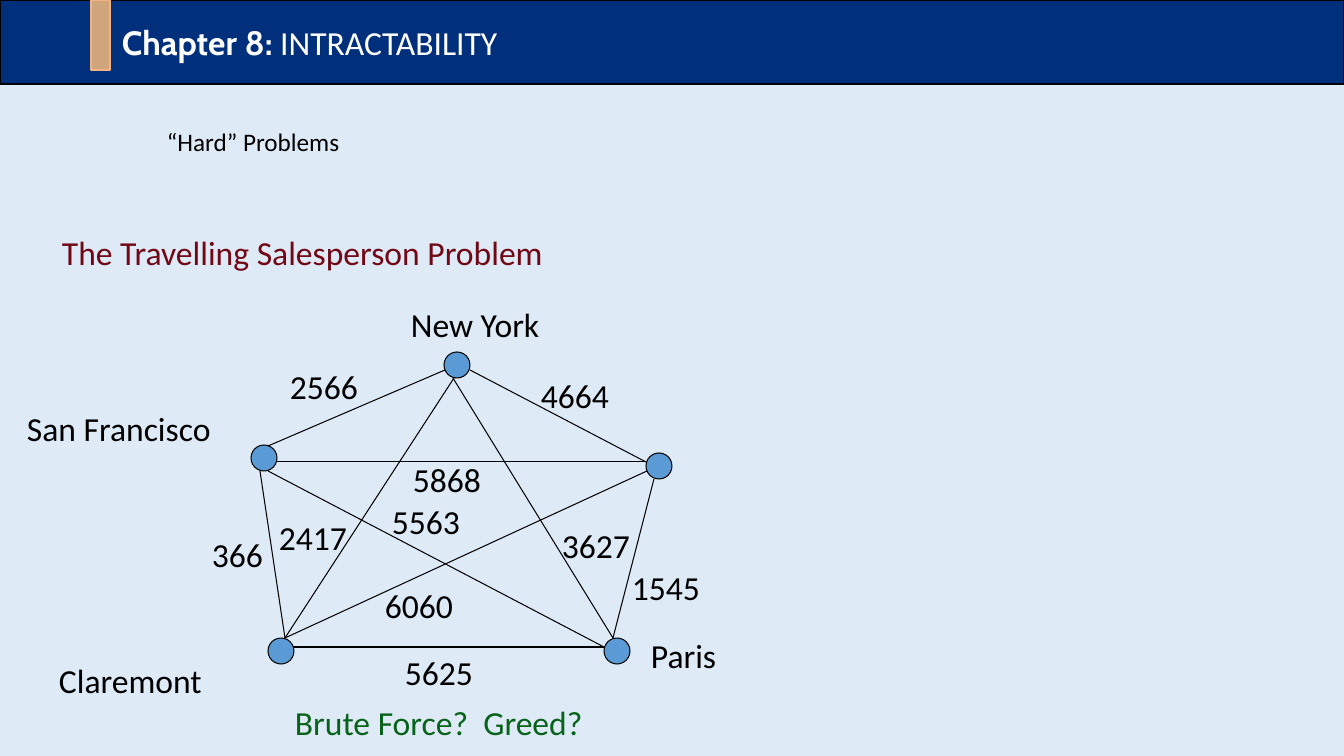
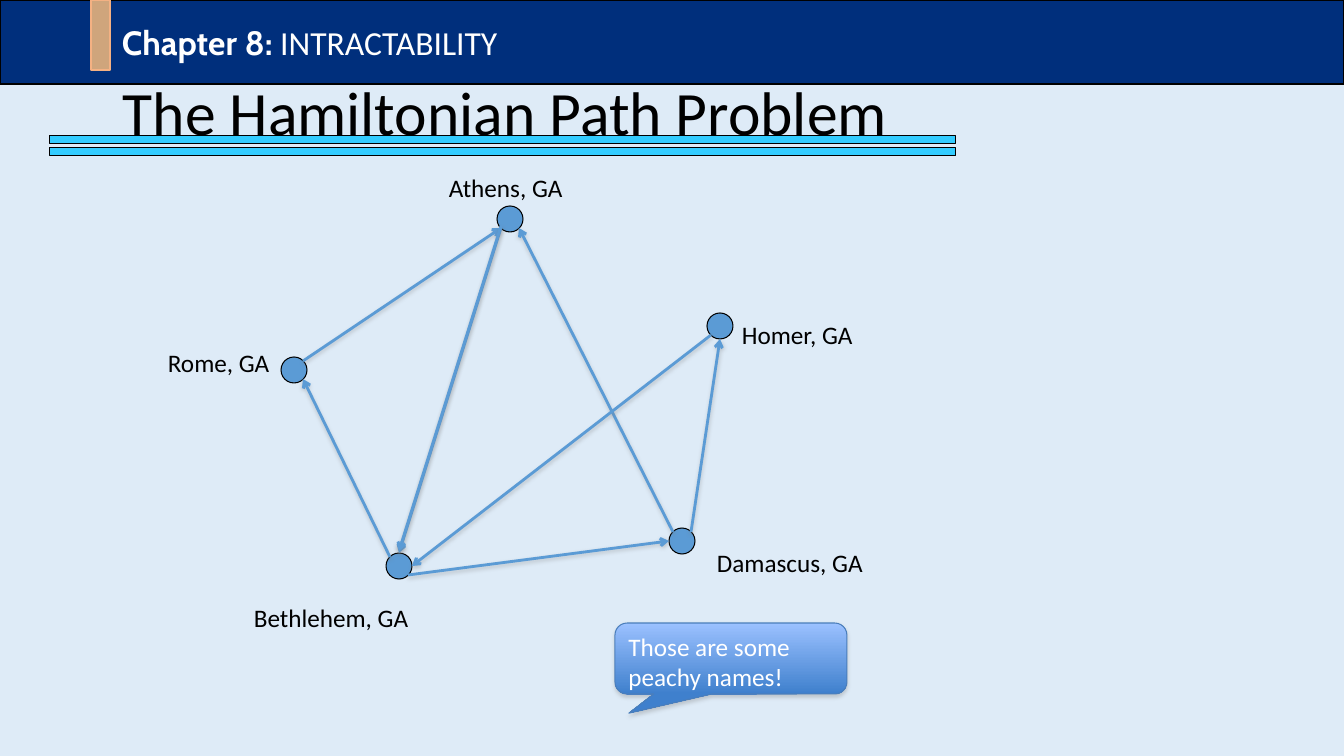
from lxml import etree
from pptx import Presentation
from pptx import util as u
from pptx.dml.color import RGBColor
from pptx.enum import shapes, text
from pptx.oxml.ns import qn

PX = 914400 / 100.8
INK, WHITE, NAVY, PAPER = "000000", "FFFFFF", "002F7C", "DEEBF7"
BLUE, CYAN, SAND, PEACH = "5B9BD5", "33CCFF", "CFA57C", "F4B183"
MAROON, GREEN = "720816", "07621A"
RADIUS, DIAGONAL = 13, 9


def px(n):
    return u.Emu(round(n * PX))


def rgb(value):
    return RGBColor.from_string(value)


class Deck:
    """Holds the shared style and draws elements on the current slide."""

    def __init__(self):
        self.prs = Presentation()
        self.prs.slide_width, self.prs.slide_height = px(1344), px(756)
        fill = self.prs.slide_master.background.fill
        fill.solid()
        fill.fore_color.rgb = rgb(PAPER)

    def new_slide(self):
        self.s = self.prs.slides.add_slide(self.prs.slide_layouts[6])
        band = self.shape("RECTANGLE", 0, 0, 1344, 84, NAVY, INK, 1)
        tf = band.text_frame
        tf.margin_left = px(122)
        tf.vertical_anchor = text.MSO_ANCHOR.MIDDLE
        p = tf.paragraphs[0]
        self.style(p, 24, WHITE, None)
        for words, font, bold in (("Chapter 8: ", "Cabin", True),
                                  ("INTRACTABILITY", "Calibri", False)):
            r = p.add_run()
            r.text, r.font.name, r.font.bold = words, font, bold
        self.shape("RECTANGLE", 91, 0, 19, 70, SAND, PEACH, 1)

    def style(self, p, size, color, font="Calibri", align="LEFT"):
        p.alignment = getattr(text.PP_ALIGN, align)
        p.font.size, p.font.color.rgb = u.Pt(size), rgb(color)
        if font:
            p.font.name = font

    def shape(self, kind, x, y, w, h, fill, line, weight=0.75):
        sp = self.s.shapes.add_shape(getattr(shapes.MSO_SHAPE, kind), px(x), px(y), px(w), px(h))
        sp.shadow.inherit = False
        if isinstance(fill, tuple):
            sp.fill.gradient()
            sp.fill.gradient_angle = 270
            for i, color in enumerate(fill):
                stop = sp.fill.gradient_stops[i]
                stop.position, stop.color.rgb = i, rgb(color)
        else:
            sp.fill.solid()
            sp.fill.fore_color.rgb = rgb(fill)
        sp.line.color.rgb, sp.line.width = rgb(line), u.Pt(weight)
        return sp

    def text(self, words, x, y, w, h, size=24, color=INK, align="LEFT", anchor="TOP"):
        tf = self.s.shapes.add_textbox(px(x), px(y), px(w), px(h)).text_frame
        tf.word_wrap = True
        tf.vertical_anchor = getattr(text.MSO_ANCHOR, anchor)
        p = tf.paragraphs[0]
        p.text = words
        self.style(p, size, color, align=align)

    def node(self, x, y):
        self.shape("OVAL", x - RADIUS, y - RADIUS, 2 * RADIUS, 2 * RADIUS, BLUE, INK)

    def line(self, x1, y1, x2, y2, color=INK, weight=0.75):
        cx = self.s.shapes.add_connector(
            shapes.MSO_CONNECTOR.STRAIGHT, px(x1), px(y1), px(x2), px(y2))
        cx.line.color.rgb, cx.line.width = rgb(color), u.Pt(weight)
        etree.SubElement(cx._element.spPr, qn("a:effectLst"))
        return cx

    def arrow(self, x1, y1, x2, y2):
        cx = self.line(x1, y1, x2, y2, BLUE, 2)
        etree.SubElement(cx._element.spPr.find(qn("a:ln")), qn("a:tailEnd"), type="arrow")
        self.shadow(cx, 38, 1.6)

    def shadow(self, sp, opacity, distance):
        effects = sp._element.spPr.find(qn("a:effectLst"))
        outer = etree.SubElement(effects, qn("a:outerShdw"), blurRad=str(u.Pt(3.1)),
                                 dist=str(u.Pt(distance)), dir="5400000", rotWithShape="0")
        color = etree.SubElement(outer, qn("a:srgbClr"), val="808080")
        etree.SubElement(color, qn("a:alpha"), val=str(opacity * 1000))

    def callout(self, words, x, y, w, h):
        sp = self.shape("ROUNDED_RECTANGULAR_CALLOUT", x, y, w, h, ("9BC1FF", "3F80CD"), "4A7EBB")
        for i, value in enumerate((-0.44, 0.77, 0.17)):
            sp.adjustments[i] = value
        self.shadow(sp, 35, 1.8)
        tf = sp.text_frame
        tf.vertical_anchor = text.MSO_ANCHOR.TOP
        p = tf.paragraphs[0]
        p.text = words
        self.style(p, 18, WHITE)


def salesperson(deck):
    deck.new_slide()
    deck.text("“Hard” Problems", 157, 121, 672, 40, 18)
    deck.text("The Travelling Salesperson Problem", 52, 227, 578, 50, color=MAROON)
    for x, y in ((457, 365), (264, 458), (281, 651), (659, 466), (617, 651)):
        deck.node(x, y)
    for city, x, y in (("New York", 401, 299), ("Paris", 641, 630),
                       ("San Francisco", 17, 403), ("Claremont", 49, 655)):
        deck.text(city, x, y, 235, 50)
    roads = (
        ("2566", (280, 361), (268, 446, 445, 370)),
        ("4664", (531, 370), (470, 370, 646, 462)),
        ("5868", (403, 454), (276, 462, 646, 462)),
        ("366", (202, 529), (260, 471, 285, 638)),
        ("1545", (622, 562), (654, 479, 613, 638)),
        ("5625", (395, 647), (293, 647, 604, 647)),
        ("3627", (552, 520), (453, 378, 613, 638)),
        ("5563", (382, 496), (268, 471, 604, 647)),
        ("6060", (375, 580), (285, 638, 647, 471)),
        ("2417", (269, 512), (454, 378, 285, 638)),
    )
    for miles, (x, y), ends in roads:
        deck.line(*ends)
        deck.text(miles, x, y, 100, 50)
    deck.text("Brute Force?  Greed?", 285, 697, 346, 50, color=GREEN)


def hamiltonian(deck):
    deck.new_slide()
    for y in (136, 148):
        deck.shape("RECTANGLE", 50, y, 906, 8, CYAN, INK)
    cities = {
        "Rome, GA": ((294, 370), (158, 342)),
        "Athens, GA": ((510, 219), (439, 167)),
        "Homer, GA": ((720, 326), (732, 314)),
        "Damascus, GA": ((682, 541), (707, 542)),
        "Bethlehem, GA": ((399, 566), (244, 597)),
    }
    for center, _ in cities.values():
        deck.node(*center)
    rome, athens, homer, damascus, bethlehem = (center for center, _ in cities.values())
    sides = {"N": (0, -RADIUS), "S": (0, RADIUS), "W": (-RADIUS, 0), "E": (RADIUS, 0)}
    for v, dy in (("N", -DIAGONAL), ("S", DIAGONAL)):
        for h, dx in (("W", -DIAGONAL), ("E", DIAGONAL)):
            sides[v + h] = (dx, dy)

    def route(start, leave, end, arrive, lift=0):
        points = []
        for (x, y), side in ((start, leave), (end, arrive)):
            dx, dy = sides[side]
            points += [x + dx, y + dy - lift]
        deck.arrow(*points)

    route(rome, "NE", athens, "SW")
    route(athens, "SW", bethlehem, "N")
    route(bethlehem, "SE", damascus, "W")
    route(damascus, "NE", homer, "S")
    route(damascus, "NW", athens, "SE")
    route(homer, "SW", bethlehem, "E")
    route(bethlehem, "NW", rome, "SE")
    for city, (_, (x, y)) in cities.items():
        deck.text(city, x, y, 180, 40, 18)
    deck.callout("Those are some peachy names!", 615, 623, 232, 71)
    deck.text("The Hamiltonian Path Problem", 52, 48, 907, 126, 44, align="CENTER", anchor="MIDDLE")
    route(athens, "SW", bethlehem, "N", lift=2)


def main():
    deck = Deck()
    salesperson(deck)
    hamiltonian(deck)
    deck.prs.save("out.pptx")


if __name__ == "__main__":
    main()
